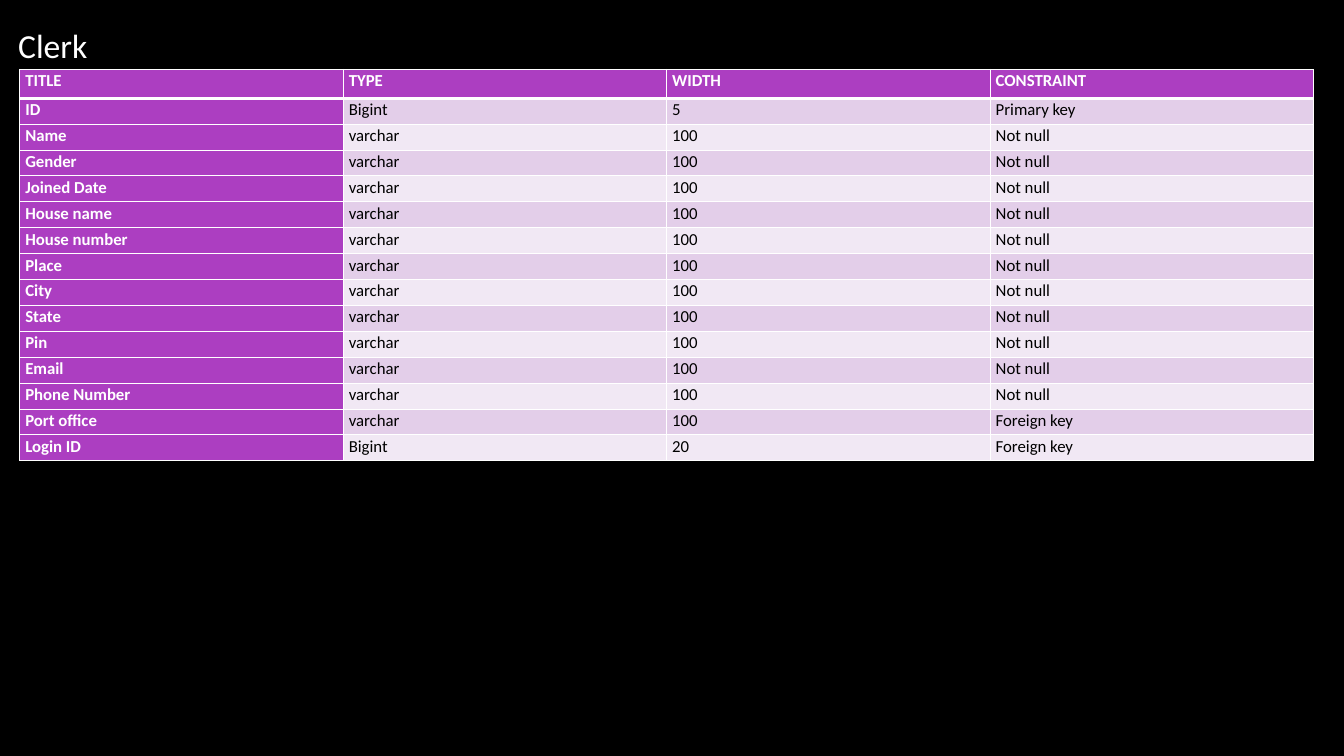
from pptx import Presentation
from pptx.dml.color import RGBColor as Rgb
from pptx.enum.text import MSO_AUTO_SIZE as AutoSize
from pptx.oxml.ns import qn
from pptx.util import Cm, Pt
from lxml.etree import SubElement

COLOURS = {
    "background": "000000",
    "light": "FFFFFF",
    "dark": "000000",
    "purple": "AC3EC1",
    "odd": "E3CEE9",
    "even": "F1E8F4",
}

HEADINGS = ("TITLE", "TYPE", "WIDTH", "CONSTRAINT")
TEXT_FIELDS = (
    "Name", "Gender", "Joined Date", "House name", "House number", "Place",
    "City", "State", "Pin", "Email", "Phone Number",
)
ROWS = [
    HEADINGS,
    ("ID", "Bigint", "5", "Primary key"),
    *[(field, "varchar", "100", "Not null") for field in TEXT_FIELDS],
    ("Port office", "varchar", "100", "Foreign key"),
    ("Login ID", "Bigint", "20", "Foreign key"),
]


class SchemaSlide:
    font = "Calibri"

    def __init__(self, deck):
        self.page = deck.slides.add_slide(deck.slide_layouts[6])
        fill = self.page.background.fill
        fill.solid()
        fill.fore_color.rgb = self.colour("background")

    def colour(self, name):
        return Rgb.from_string(COLOURS[name])

    def add_text(self, frame, text, size, colour, bold=False):
        para = frame.paragraphs[0]
        para.line_spacing = 1.07
        para.space_after = Pt(8)
        span = para.add_run()
        span.text = text
        span.font.name = self.font
        span.font.size = Pt(size)
        span.font.bold = bold
        span.font.color.rgb = self.colour(colour)

    def heading(self, text, left, top, width, height):
        box = self.page.shapes.add_textbox(Cm(left), Cm(top), Cm(width), Cm(height))
        box.text_frame.word_wrap = True
        box.text_frame.auto_size = AutoSize.SHAPE_TO_FIT_TEXT
        self.add_text(box.text_frame, text, 32, "light")

    def border(self, properties, side, width):
        line = SubElement(properties, qn(f"a:{side}"), w=str(Pt(width)))
        fill = SubElement(line, qn("a:solidFill"))
        SubElement(fill, qn("a:srgbClr"), val=COLOURS["light"])

    def cell(self, cell, text, row, column):
        key = row == 0 or column == 0
        cell.margin_left = cell.margin_right = Cm(0.19)
        cell.margin_top = cell.margin_bottom = 0
        properties = cell._tc.get_or_add_tcPr()
        for side in ("lnL", "lnR", "lnT", "lnB"):
            header_edge = (row, side) in ((0, "lnB"), (1, "lnT"))
            self.border(properties, side, 3 if header_edge else 1)
        cell.fill.solid()
        band = "odd" if row % 2 else "even"
        cell.fill.fore_color.rgb = self.colour("purple" if key else band)
        self.add_text(cell.text_frame, text, 16, "light" if key else "dark", key)

    def table(self, rows, left, top, column_width, header_height, row_height):
        count = len(rows[0])
        height = header_height + row_height * (len(rows) - 1)
        table = self.page.shapes.add_table(
            len(rows), count, Cm(left), Cm(top), Cm(column_width * count), Cm(height)
        ).table
        table.first_col = True
        for column in table.columns:
            column.width = Cm(column_width)
        for row, texts in enumerate(rows):
            table.rows[row].height = Cm(row_height if row else header_height)
            for column, text in enumerate(texts):
                self.cell(table.cell(row, column), text, row, column)


def main():
    deck = Presentation()
    deck.slide_width = Cm(45.16)
    deck.slide_height = Cm(25.4)
    slide = SchemaSlide(deck)
    slide.heading("Clerk", 0.36, 0.61, 3.38, 1.65)
    slide.table(ROWS, 0.66, 2.33, 10.87, 0.97, 0.87)
    deck.save("out.pptx")


if __name__ == "__main__":
    main()
